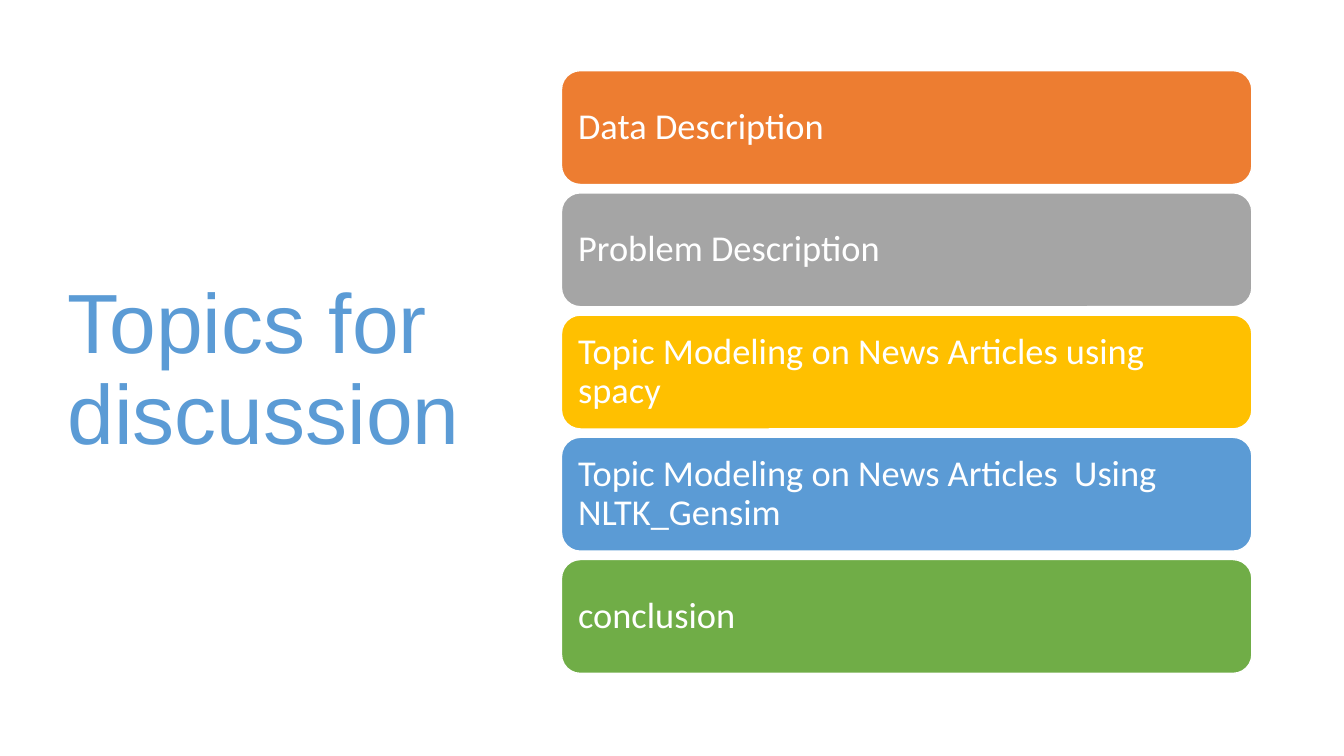
from dataclasses import dataclass

from pptx import Presentation
from pptx.dml.color import RGBColor as Rgb
from pptx.enum.shapes import MSO_SHAPE as Preset
from pptx.enum.text import MSO_ANCHOR as Anchor, PP_ALIGN as Align
from pptx.util import Cm, Pt


@dataclass(frozen=True)
class Theme:
    white: str = "FFFFFF"
    heading: str = "5B9BD5"
    bars: tuple = ("ED7D31", "A5A5A5", "FFC000", "5B9BD5", "70AD47")
    heading_font: str = "Arial"
    bar_font: str = "Calibri"
    heading_size: int = 60
    bar_size: int = 26
    line_spacing: float = 0.9
    bar_inset: float = 0.28


class Agenda:
    """Draws agenda elements on one slide in a shared theme."""

    def __init__(self, slide, theme):
        self.shapes = slide.shapes
        self.theme = theme

    def apply(self, target, formats):
        for name, value in formats.items():
            setattr(target, name, value)

    def label(self, shape, wording, font, size, color, **frame_formats):
        frame = shape.text_frame
        self.apply(frame, {"word_wrap": True, "vertical_anchor": Anchor.MIDDLE, **frame_formats})
        paragraph = frame.paragraphs[0]
        self.apply(paragraph, {"text": wording, "alignment": Align.LEFT,
                               "line_spacing": self.theme.line_spacing})
        self.apply(paragraph.font, {"name": font, "size": Pt(size)})
        paragraph.font.color.rgb = Rgb.from_string(color)

    def heading(self, wording, left, top, width, height):
        box = self.shapes.add_textbox(Cm(left), Cm(top), Cm(width), Cm(height))
        theme = self.theme
        self.label(box, wording, theme.heading_font, theme.heading_size, theme.heading)

    def bar(self, wording, color, left, top, width, height):
        bar = self.shapes.add_shape(Preset.ROUNDED_RECTANGLE, Cm(left), Cm(top), Cm(width), Cm(height))
        theme = self.theme
        bar.shadow.inherit = False
        bar.fill.solid()
        bar.fill.fore_color.rgb = Rgb.from_string(color)
        bar.line.color.rgb = Rgb.from_string(theme.white)
        bar.line.width = Pt(1)
        margins = {f"margin_{side}": Cm(theme.bar_inset) for side in ("left", "top", "right", "bottom")}
        self.label(bar, wording, theme.bar_font, theme.bar_size, theme.white, **margins)


TOPICS = (
    "Data Description",
    "Problem Description",
    "Topic Modeling on News Articles using spacy",
    "Topic Modeling on News Articles\u00a0 Using NLTK_Gensim",
    "conclusion",
)
BARS_LEFT, BARS_TOP, BAR_WIDTH, BAR_HEIGHT, BAR_GAP = 14.15, 1.78, 17.4, 2.87, 0.21

deck = Presentation()
deck.slide_width, deck.slide_height = Cm(33.87), Cm(19.05)
blank_layout = deck.slide_layouts[6]
theme = Theme()
agenda = Agenda(deck.slides.add_slide(blank_layout), theme)

agenda.heading("Topics for discussion", 1.45, 1.73, 10.57, 15.29)
for row, (topic, color) in enumerate(zip(TOPICS, theme.bars)):
    agenda.bar(topic, color, BARS_LEFT, BARS_TOP + row * (BAR_HEIGHT + BAR_GAP), BAR_WIDTH, BAR_HEIGHT)

deck.save("out.pptx")
